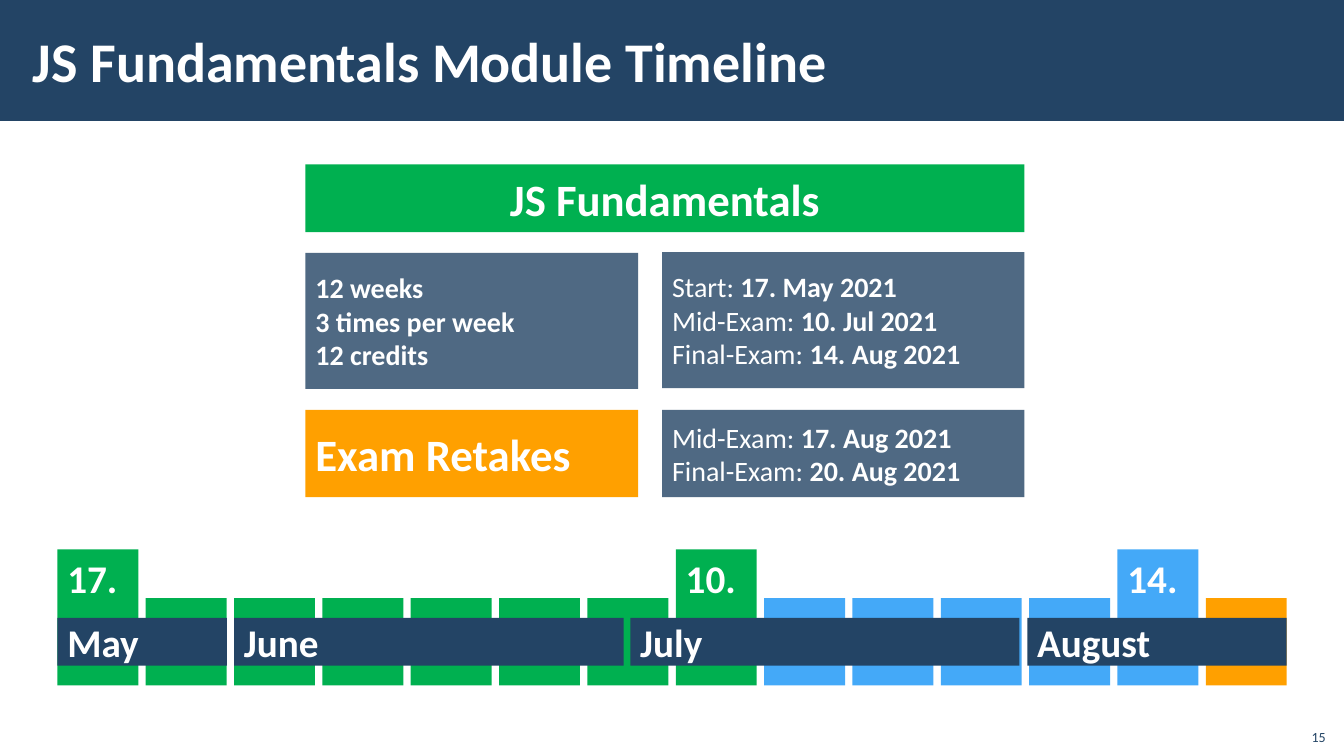
import pptx
import pptx.util
import pptx.dml.color
import pptx.enum.shapes
import pptx.enum.text
import pptx.oxml.ns
import lxml.etree

Pt = pptx.util.Pt
ALIGN = pptx.enum.text.PP_ALIGN
ANCHOR = pptx.enum.text.MSO_ANCHOR
AUTO_SIZE = pptx.enum.text.MSO_AUTO_SIZE
qn = pptx.oxml.ns.qn

COLORS = {
    "navy": "234465",
    "green": "00B050",
    "blue": "44A9F8",
    "orange": "FFA000",
    "white": "FFFFFF",
}


def write_text(shape, lines, size, color="white", align=ALIGN.LEFT, anchor=ANCHOR.MIDDLE):
    """Fill a shape with lines, each a list of (text, bold) runs."""
    frame = shape.text_frame
    frame.vertical_anchor = anchor
    for index, line in enumerate(lines):
        paragraph = frame.paragraphs[0] if index == 0 else frame.add_paragraph()
        paragraph.alignment = align
        for text, bold in line:
            run = paragraph.add_run()
            run.text = text
            run.font.name = "Calibri"
            run.font.size = Pt(size)
            run.font.bold = bold
            run.font.color.rgb = pptx.dml.color.RGBColor.from_string(COLORS[color])


def add_box(left, top, width, height, color, opacity=100):
    shape = slide.shapes.add_shape(
        pptx.enum.shapes.MSO_SHAPE.RECTANGLE, Pt(left), Pt(top), Pt(width), Pt(height))
    shape.shadow.inherit = False
    shape.line.fill.background()
    shape.fill.solid()
    shape.fill.fore_color.rgb = pptx.dml.color.RGBColor.from_string(COLORS[color])
    if opacity < 100:
        fill_color = shape.element.spPr.find(qn("a:solidFill")).find(qn("a:srgbClr"))
        lxml.etree.SubElement(fill_color, qn("a:alpha")).set("val", str(opacity * 1000))
    return shape


presentation = pptx.Presentation()
presentation.slide_width = Pt(960)
presentation.slide_height = Pt(540)
slide = presentation.slides.add_slide(presentation.slide_layouts[5])

# Header band behind the title
header = add_box(0, 0, 960, 86.4, "navy")
title = slide.shapes.title
title.element.addprevious(header.element)
title.left, title.top, title.width, title.height = Pt(15), Pt(8), Pt(765.5), Pt(70)
title.text_frame.auto_size = AUTO_SIZE.NONE
title.text_frame.margin_left = title.text_frame.margin_right = Pt(8.5)
title.text_frame.margin_top = title.text_frame.margin_bottom = Pt(2.9)
write_text(title, [[("JS Fundamentals Module Timeline", True)]], 40)

# Module facts
LEFT_COLUMN, RIGHT_COLUMN = (218.2, 237.6), (473, 258.7)
module = add_box(218.2, 117.4, 513.5, 48.4, "green")
write_text(module, [[("JS Fundamentals", True)]], 32, align=ALIGN.CENTER)

facts = [
    (LEFT_COLUMN, 180.6, 97.2, "navy", 80, 20,
     [[("12 weeks", True)], [("3 times per week", True)], [("12 credits", True)]]),
    (RIGHT_COLUMN, 180, 97.2, "navy", 80, 20,
     [[("Start: ", False), ("17. May 2021", True)],
      [("Mid-Exam: ", False), ("10. Jul 2021", True)],
      [("Final-Exam: ", False), ("14. Aug 2021", True)]]),
    (LEFT_COLUMN, 292.8, 62.4, "orange", 100, 32, [[("Exam Retakes", True)]]),
    (RIGHT_COLUMN, 292.8, 62.4, "navy", 80, 20,
     [[("Mid-Exam: ", False), ("17. Aug 2021", True)],
      [("Final-Exam: ", False), ("20. Aug 2021", True)]]),
]
for (left, width), top, height, color, opacity, size, lines in facts:
    write_text(add_box(left, top, width, height, color, opacity), lines, size)

# Weeks of the timeline; weeks with a key date stand taller
TIMELINE_LEFT, WEEK_STEP, WEEK_WIDTH, TIMELINE_BOTTOM = 41, 63.1, 57.8, 489.6
week_colors = ["green"] * 8 + ["blue"] * 5 + ["orange"]
key_dates = {0: "17.", 7: "10.", 12: "14."}
for week, color in enumerate(week_colors):
    height = 97.2 if week in key_dates else 62.4
    box = add_box(TIMELINE_LEFT + week * WEEK_STEP, TIMELINE_BOTTOM - height,
                  WEEK_WIDTH, height, color)
    if week in key_dates:
        write_text(box, [[(key_dates[week], True)]], 28, anchor=ANCHOR.TOP)

# Months across the weeks
months = [("May", 41, 121), ("June", 167.2, 278.3), ("July", 450.2, 278), ("August", 733.8, 185.3)]
for month, left, width in months:
    bar = add_box(left, 441.4, width, 34, "navy")
    bar.text_frame.margin_top = bar.text_frame.margin_bottom = 0
    write_text(bar, [[(month, True)]], 28)

slide_number = slide.shapes.add_textbox(Pt(925.2), Pt(512.6), Pt(28.8), Pt(23))
slide_number.text_frame.word_wrap = True
write_text(slide_number, [[("15", False)]], 10, "navy", ALIGN.RIGHT, ANCHOR.BOTTOM)

presentation.save("out.pptx")
